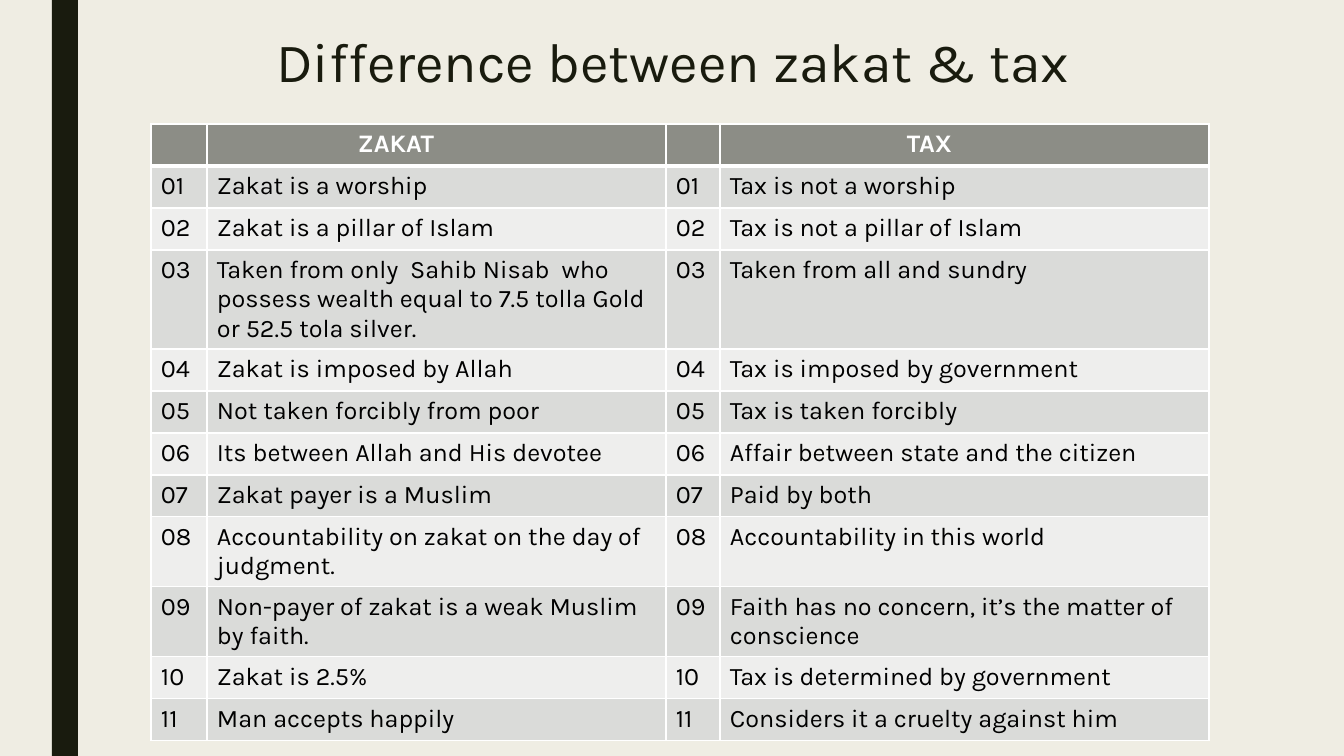
from lxml.etree import SubElement
from pptx import Presentation
from pptx.dml.color import RGBColor
from pptx.enum.shapes import MSO_SHAPE
from pptx.enum.text import MSO_ANCHOR, PP_ALIGN
from pptx.oxml.ns import qn
from pptx.util import Pt

EMU_PER_PX = 914400 / 100.8
CREAM = RGBColor(0xEF, 0xED, 0xE3)
DARK = RGBColor(0x19, 0x1B, 0x0E)
HEADER_GREY = RGBColor(0x8C, 0x8D, 0x86)
ODD_GREY = RGBColor(0xDA, 0xDB, 0xD9)
EVEN_GREY = RGBColor(0xEE, 0xEE, 0xED)
WHITE = RGBColor(0xFF, 0xFF, 0xFF)
BLACK = RGBColor(0, 0, 0)

COLUMN_WIDTHS = [56, 459, 54, 489]
HEADER_MARGINS = [10, 151, 10, 187]
ROW_HEIGHT = 42
TALL_ROWS = {3: 99, 8: 70, 9: 70}
COMPARISONS = [
    ("Zakat is a worship", "Tax is not a worship"),
    ("Zakat is a pillar of Islam", "Tax is not a pillar of Islam"),
    ("Taken from only  Sahib Nisab  who possess wealth equal to 7.5 tolla Gold or 52.5 tola silver.",
     "Taken from all and sundry"),
    ("Zakat is imposed by Allah", "Tax is imposed by government"),
    ("Not taken forcibly from poor", "Tax is taken forcibly"),
    ("Its between Allah and His devotee", "Affair between state and the citizen"),
    ("Zakat payer is a Muslim", "Paid by both"),
    ("Accountability on zakat on the day of judgment.", "Accountability in this world"),
    ("Non-payer of zakat is a weak Muslim by faith.",
     "Faith has no concern, it’s the matter of conscience"),
    ("Zakat is 2.5%", "Tax is determined by government"),
    ("Man accepts happily", "Considers it a cruelty against him"),
]


def px(length):
    return round(length * EMU_PER_PX)


class SlideBuilder:
    font_name = "Karla"

    def __init__(self, presentation):
        self.slide = presentation.slides.add_slide(presentation.slide_layouts[5])
        fill = self.slide.background.fill
        fill.solid()
        fill.fore_color.rgb = CREAM

    def format_runs(self, paragraph, size, color, bold=False):
        for run in paragraph.runs:
            run.font.name = self.font_name
            run.font.size = Pt(size)
            run.font.color.rgb = color
            run.font.bold = bold

    def bar(self, left, top, width, height):
        shape = self.slide.shapes.add_shape(
            MSO_SHAPE.RECTANGLE, px(left), px(top), px(width), px(height))
        shape.shadow.inherit = False
        shape.fill.solid()
        shape.fill.fore_color.rgb = DARK
        shape.line.fill.background()

    def title(self, text, left, top, width, height, indent):
        title = self.slide.shapes.title
        title.left, title.top = px(left), px(top)
        title.width, title.height = px(width), px(height)
        text_frame = title.text_frame
        text_frame.text = text
        text_frame.word_wrap = True
        text_frame.vertical_anchor = MSO_ANCHOR.MIDDLE
        text_frame.margin_left = px(indent)
        paragraph = text_frame.paragraphs[0]
        paragraph.alignment = PP_ALIGN.LEFT
        paragraph.line_spacing = 0.89
        self.format_runs(paragraph, 39.6, DARK)

    def borders(self, cell, row_index):
        properties = cell._tc.get_or_add_tcPr()
        widths = {"a:lnL": 1, "a:lnR": 1,
                  "a:lnT": 3 if row_index == 1 else 1,
                  "a:lnB": 3 if row_index == 0 else 1}
        for tag, width in widths.items():
            line = SubElement(properties, qn(tag), w=str(Pt(width)))
            solid = SubElement(line, qn("a:solidFill"))
            SubElement(solid, qn("a:srgbClr"), val=str(WHITE))

    def cell(self, cell, text, row_index, margin):
        is_header = row_index == 0
        self.borders(cell, row_index)
        cell.fill.solid()
        cell.fill.fore_color.rgb = (
            HEADER_GREY if is_header else ODD_GREY if row_index % 2 else EVEN_GREY)
        cell.margin_left = px(margin)
        cell.text_frame.text = text
        self.format_runs(cell.text_frame.paragraphs[0], 18,
                         WHITE if is_header else BLACK, is_header)

    def table(self, rows, left, top):
        heights = [TALL_ROWS.get(index, ROW_HEIGHT) for index in range(len(rows))]
        table = self.slide.shapes.add_table(
            len(rows), len(COLUMN_WIDTHS), px(left), px(top),
            px(sum(COLUMN_WIDTHS)), px(sum(heights))).table
        for column, width in zip(table.columns, COLUMN_WIDTHS):
            column.width = px(width)
        for row_index, texts in enumerate(rows):
            table.rows[row_index].height = px(heights[row_index])
            for column_index, text in enumerate(texts):
                margin = HEADER_MARGINS[column_index] if row_index == 0 else 10
                self.cell(table.cell(row_index, column_index), text, row_index, margin)


def main():
    presentation = Presentation()
    presentation.slide_width, presentation.slide_height = px(1344), px(756)
    builder = SlideBuilder(presentation)
    builder.bar(52, 0, 26, 756)
    builder.title("Difference between zakat & tax", 177, 32, 1032, 65, 99)
    rows = [("", "ZAKAT", "", "TAX")]
    for number, (zakat, tax) in enumerate(COMPARISONS, 1):
        rows.append((f"{number:02}", zakat, f"{number:02}", tax))
    builder.table(rows, 151, 124)
    presentation.save("out.pptx")


if __name__ == "__main__":
    main()
